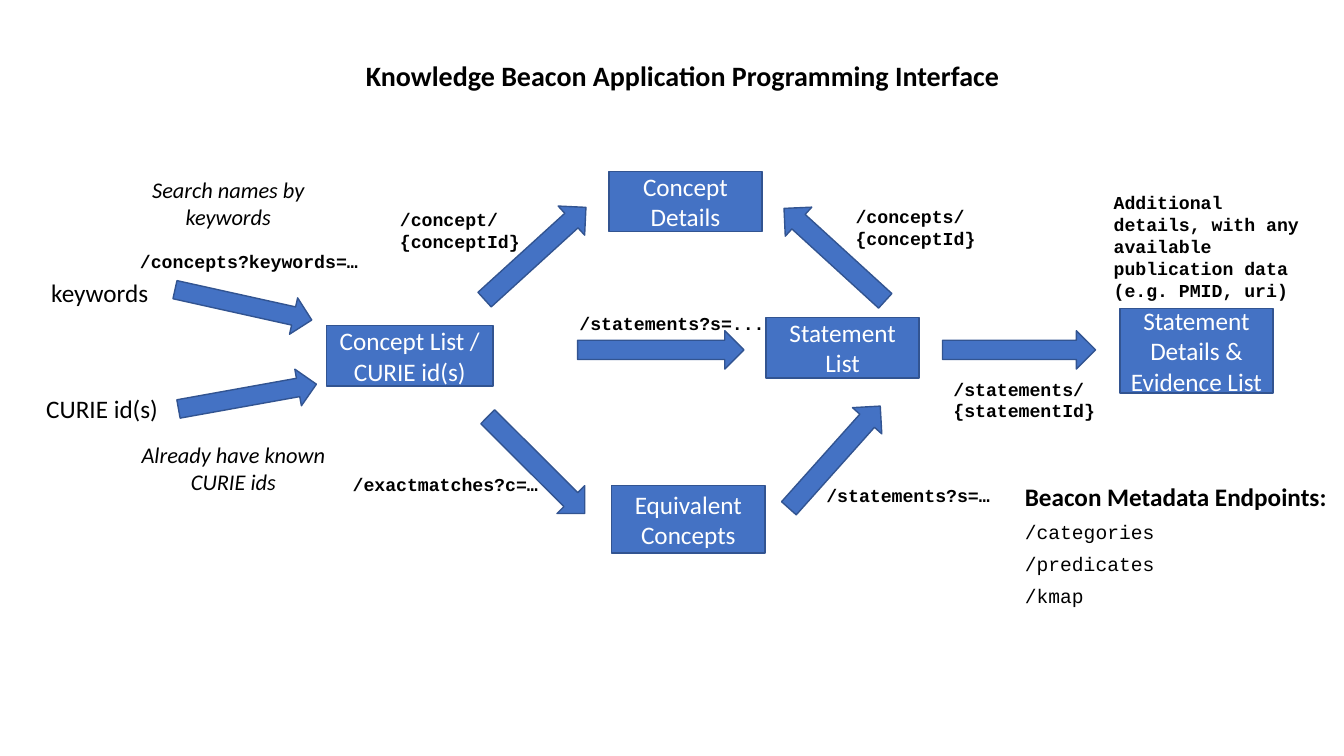
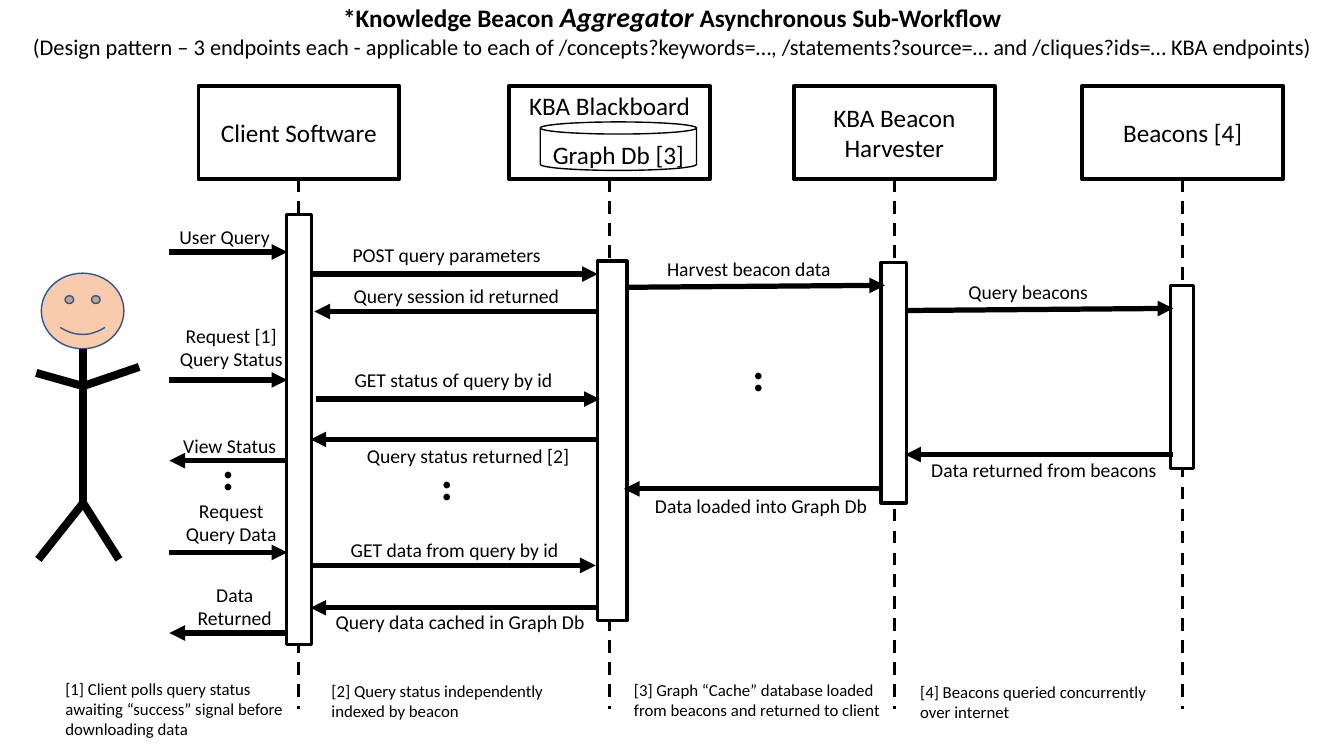
"""Build two slides on the Knowledge Beacon interface and its aggregator workflow."""
from pptx import Presentation
from pptx.dml.color import RGBColor
from pptx.enum.dml import MSO_LINE
from pptx.enum.shapes import MSO_CONNECTOR, MSO_SHAPE
from pptx.enum.text import MSO_ANCHOR, MSO_AUTO_SIZE, PP_ALIGN
from pptx.oxml.ns import qn
from pptx.util import Pt
from lxml import etree

BLACK, WHITE, BLUE, NAVY, SKIN = "000000", "FFFFFF", "4472C4", "325491", "F8CBAD"
SANS, MONO = "Calibri", "Courier New"
LEFT, CENTER, RIGHT = PP_ALIGN.LEFT, PP_ALIGN.CENTER, PP_ALIGN.RIGHT
MIDDLE, TOP = MSO_ANCHOR.MIDDLE, MSO_ANCHOR.TOP


def place(slide, at, runs="", preset=None, fill=None, line=BLACK, weight=1, turn=0,
          size=18, font=SANS, color=BLACK, bold=False, italic=False,
          align=LEFT, anchor=TOP, wrap=True, after=0):
    box = [Pt(length) for length in at]
    if preset is None:
        item = slide.shapes.add_textbox(*box)
        item.text_frame.auto_size = MSO_AUTO_SIZE.SHAPE_TO_FIT_TEXT
    else:
        item = slide.shapes.add_shape(preset, *box)
        item.shadow.inherit = False
        item.rotation = turn
        item.line.color.rgb = RGBColor.from_string(line)
        item.line.width = Pt(weight)
        if fill:
            item.fill.solid()
            item.fill.fore_color.rgb = RGBColor.from_string(fill)
        else:
            item.fill.background()
    frame = item.text_frame
    frame.word_wrap = wrap
    frame.vertical_anchor = anchor
    if isinstance(runs, str):
        runs = [[(words, size, bold, italic)] for words in runs.split("\n") if words]
    for index, paragraph_runs in enumerate(runs):
        paragraph = frame.add_paragraph() if index else frame.paragraphs[0]
        paragraph.alignment = align
        paragraph.space_after = Pt(after)
        for words, points, strong, slanted in paragraph_runs:
            run = paragraph.add_run()
            run.text = words
            run.font.name = font
            run.font.size = Pt(points)
            run.font.bold = strong
            run.font.italic = slanted
            run.font.color.rgb = RGBColor.from_string(color)
    return item


def connect(slide, ends, weight, dashed=False, arrow=False):
    link = slide.shapes.add_connector(MSO_CONNECTOR.STRAIGHT, *[Pt(length) for length in ends])
    link.line.color.rgb = RGBColor.from_string(BLACK)
    link.line.width = Pt(weight)
    if dashed:
        link.line.dash_style = MSO_LINE.DASH
    properties = link._element.spPr
    if arrow:
        etree.SubElement(properties.find(qn("a:ln")), qn("a:tailEnd"), type="triangle")
    etree.SubElement(properties, qn("a:effectLst"))


deck = Presentation()
deck.slide_width, deck.slide_height = Pt(960), Pt(540)
blank = deck.slide_layouts[6]

interface = deck.slides.add_slide(blank)
place(interface, (254.2, 38.2, 470.9, 31.7),
      "Knowledge Beacon Application Programming Interface", size=20, bold=True, wrap=False)

flows = [
    (123.8, 204.5, 100.1, 26.6, 12.5),
    (126.7, 270, 100.1, 26.6, 349.8),
    (412.6, 236.2, 118.8, 27.4, 0),
    (673.2, 236.2, 109.4, 27.4, 0),
    (333.4, 167, 97.9, 28.1, 317.7),
    (547.2, 167.8, 97.9, 28.1, 222.4),
    (334.1, 318.2, 97.9, 28.1, 44.9),
    (547.2, 312.5, 97.9, 28.1, 311.8),
]
for *at, turn in flows:
    place(interface, at, preset=MSO_SHAPE.RIGHT_ARROW, fill=BLUE, line=NAVY, turn=turn)

resources = [
    ("Concept List / CURIE id(s)", 233.3, 232.6, 118.8, 43.2),
    ("Statement List", 547.2, 226.8, 109.4, 43.2),
    ("Statement Details & Evidence List", 799.9, 220.3, 109.4, 60.5),
    ("Concept Details", 434.9, 122.4, 109.4, 43.2),
    ("Equivalent Concepts", 437, 347, 109.4, 48.2),
]
for resource, *at in resources:
    place(interface, at, resource, MSO_SHAPE.RECTANGLE, BLUE, NAVY,
          color=WHITE, align=CENTER, anchor=MIDDLE)

place(interface, (29.5, 194.4, 84.2, 28.8), "keywords", wrap=False)
place(interface, (25.9, 277.2, 95, 28.8), "CURIE id(s)", wrap=False)
place(interface, (97.2, 122.4, 131.8, 46.1), "Search names by keywords",
      size=16, italic=True, align=CENTER)
place(interface, (93.6, 311.8, 146.2, 46.1), "Already have known CURIE ids",
      size=16, italic=True, align=CENTER)

endpoints = [
    ("/concepts?keywords=…", False, 92.9, 175, 171.4, 23),
    ("/concepts/\n{conceptId}", False, 604.1, 143.3, 100.8, 38.9),
    ("/concept/\n{conceptId}", True, 278.6, 145.4, 101.5, 38.9),
    ("/statements?s=...", False, 406.8, 219.6, 147.6, 23),
    ("/statements/\n{statementId}", False, 673.9, 266.4, 115.9, 38.9),
    ("/exactmatches?c=…", False, 244.8, 334.8, 147.6, 23),
    ("/statements?s=…", False, 583.2, 342.7, 131.8, 23),
    ("Additional details, with any available publication data (e.g. PMID, uri)",
     True, 788.4, 133.2, 149, 85.7),
]
for endpoint, wrap, *at in endpoints:
    place(interface, at, endpoint, size=13, font=MONO, bold=True, wrap=wrap)

place(interface, (725, 340.6, 231.8, 28.8), "Beacon Metadata Endpoints:", bold=True, wrap=False)
place(interface, (725, 367.9, 107.3, 70.6), "/categories\n/predicates\n/kmap",
      size=14, font=MONO, wrap=False, after=6)

workflow = deck.slides.add_slide(blank)
place(workflow, (10.8, -3.6, 938.9, 51.1), [
    [("*Knowledge Beacon ", 18, True, False), ("Aggregator", 20, True, True),
     (" Asynchronous Sub-Workflow", 18, True, False)],
    [("(Design pattern – 3 endpoints each - applicable to each of /concepts?keywords=…, "
      "/statements?source=… and /cliques?ids=… KBA endpoints)", 16, False, False)],
], align=CENTER, wrap=False)

actors = [
    ("Client Software", MIDDLE, 213.4, (204.5, 153.4, 18, 306.7)),
    ("KBA Blackboard", TOP, 435.4, (427, 186.5, 20.9, 257)),
    ("KBA Beacon Harvester", MIDDLE, 638.8, (629.3, 187.2, 18, 172.1)),
    ("Beacons [4]", MIDDLE, 844.8, (835.9, 203.8, 16.6, 131)),
]
for actor, anchor, middle, activity in actors:
    place(workflow, (middle - 71.65, 61.2, 143.3, 67), actor, MSO_SHAPE.RECTANGLE,
          weight=2.75, align=CENTER, anchor=anchor)
    connect(workflow, (middle, 128.2, middle, 506.2), 2.25, dashed=True)
    place(workflow, activity, preset=MSO_SHAPE.RECTANGLE, fill=WHITE, weight=2.25)
place(workflow, (385.9, 87.1, 111.6, 34.6), "Graph Db [3]", MSO_SHAPE.CAN, align=CENTER)

messages = [
    ("User Query", CENTER, (121, 180, 205.2, 180), (116.6, 157, 87.8, 24.5)),
    ("POST query parameters", LEFT, (223.2, 195.8, 427, 195.8), (244.8, 169.9, 162.7, 24.5)),
    ("Query session id returned", LEFT, (427.7, 222.5, 224.6, 222.5),
     (245.5, 199.4, 162.7, 24.5)),
    ("GET status of query by id", LEFT, (225.4, 285.1, 428.4, 285.1),
     (246.2, 259.2, 162.7, 24.5)),
    ("Query status returned [2]", CENTER, (425.5, 313.9, 221.8, 313.9),
     (242.6, 313.2, 183.6, 24.5)),
    ("GET data from query by id", LEFT, (221.8, 403.9, 425.5, 403.9),
     (243.4, 380.9, 176.4, 24.5)),
    ("Query data cached in Graph Db", LEFT, (425.5, 434.2, 221.8, 434.2),
     (232.6, 432, 193, 24.5)),
    ("Request [1] Query Status", CENTER, (121, 271.4, 205.2, 271.4), (119.5, 227.5, 91.4, 41)),
    ("View Status", RIGHT, (205.2, 329, 121, 329), (116.6, 306.7, 87.8, 24.5)),
    ("Request Query Data", CENTER, (121, 394.6, 205.2, 394.6), (119.5, 352.8, 91.4, 41)),
    ("Data Returned", CENTER, (205.2, 452.2, 121, 452.2), (123.8, 412.6, 87.8, 41)),
    ("Harvest beacon data", LEFT, (448.6, 205.2, 632.2, 203.8), (469.4, 180, 162.7, 24.5)),
    ("Query beacons", LEFT, (648, 221.8, 838.1, 220.3), (684.7, 196.6, 110.2, 24.5)),
    ("Data returned from beacons", LEFT, (838.1, 324.7, 646.6, 324.7),
     (658.1, 323.3, 185, 24.5)),
    ("Data loaded into Graph Db", LEFT, (629.3, 349.2, 445.7, 349.2),
     (460.8, 349.2, 185, 24.5)),
]
for message, align, ends, at in messages:
    connect(workflow, ends, 3.75, arrow=True)
    place(workflow, at, message, size=14, align=align)

for left, top in [(285.8, 342), (129.6, 334.8), (508.3, 264.2)]:
    pause = place(workflow, (left, top, 53.3, 24.5), "..", size=32, bold=True, wrap=False)
    pause.text_frame._txBody.find(qn("a:bodyPr")).set("vert", "vert270")

footnotes = [
    ("[1] Client polls query status awaiting “success” signal before downloading data",
     39.6, 481, 171.4, 51.1),
    ("[2] Query status independently indexed by beacon", 229.7, 482.4, 193, 36),
    ("[3] Graph “Cache” database loaded from beacons and returned to client",
     445.7, 481.7, 193, 36),
    ("[4] Beacons queried concurrently over internet", 650.2, 483.1, 193, 36),
]
for footnote, *at in footnotes:
    place(workflow, at, footnote, size=12)

place(workflow, (29.5, 195.1, 59, 54), preset=MSO_SHAPE.SMILEY_FACE, fill=SKIN, line=NAVY)
spine, shoulder, hip = 59.4, 275.8, 359.3
limbs = [
    (spine, 249.1, spine, hip),
    (spine, hip, 27.4, 399.6),
    (spine, hip, 85, 399.6),
    (spine, shoulder, 25.9, 266.4),
    (spine, shoulder, 99.4, 262.1),
]
for limb in limbs:
    connect(workflow, limb, 5.75)

deck.save("out.pptx")
